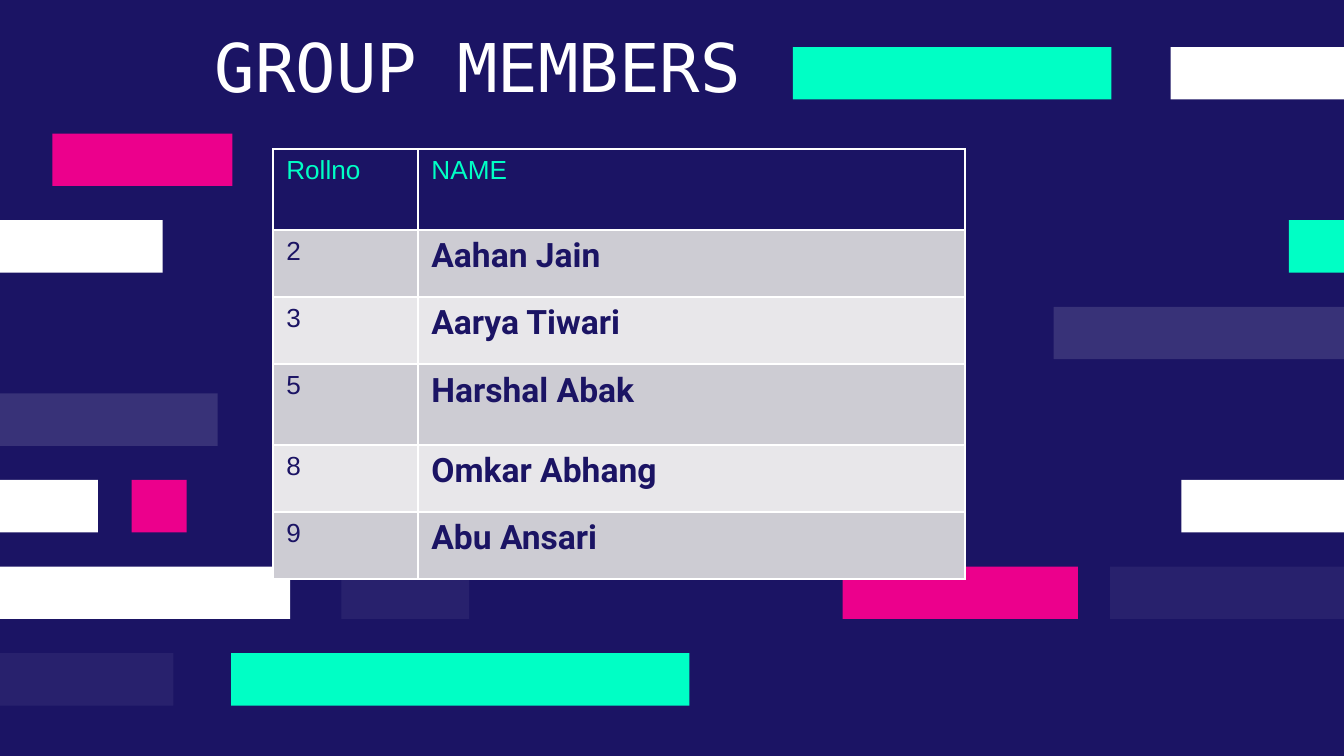
from lxml import etree
from pptx import Presentation
from pptx.dml.color import RGBColor
from pptx.enum.shapes import MSO_SHAPE
from pptx.oxml.ns import qn
from pptx.util import Inches, Pt

RECTANGLE = MSO_SHAPE.RECTANGLE

NAVY = RGBColor(0x1B, 0x14, 0x64)
WHITE = RGBColor(0xFF, 0xFF, 0xFF)
MINT = RGBColor(0x00, 0xFF, 0xC5)
PINK = RGBColor(0xEC, 0x00, 0x8C)
DARK_BAND = RGBColor(0xCD, 0xCC, 0xD3)
LIGHT_BAND = RGBColor(0xE8, 0xE7, 0xEA)

TITLE = "GROUP MEMBERS"
HEADER = ("Rollno", "NAME")
MEMBERS = [
    ("2", "Aahan Jain"),
    ("3", "Aarya Tiwari"),
    ("5", "Harshal Abak"),
    ("8", "Omkar Abhang"),
    ("9", "Abu Ansari"),
]
COLUMN_WIDTHS = (1.08, 4.07)
ROW_HEIGHTS = (0.6, 0.5, 0.5, 0.6, 0.5, 0.5)

# One list per band, top to bottom: (left, right, colour, opacity in percent)
BANDS = [
    [(5.9, 8.27, MINT, 100), (8.71, 10, WHITE, 100)],
    [(0.39, 1.73, PINK, 100)],
    [(0, 1.21, WHITE, 100), (9.59, 10, MINT, 100)],
    [(7.84, 10, WHITE, 13)],
    [(0, 1.62, WHITE, 13)],
    [(0, 0.73, WHITE, 100), (0.98, 1.39, PINK, 100), (8.79, 10, WHITE, 100)],
    [(0, 2.16, WHITE, 100), (2.54, 3.49, WHITE, 6),
     (6.27, 8.02, PINK, 100), (8.26, 10, WHITE, 6)],
    [(0, 1.29, WHITE, 6), (1.72, 5.13, MINT, 100)],
]
FIRST_TOP, LAST_TOP, BAR_HEIGHT = 0.35, 4.86, 0.39
BAND_STEP = (LAST_TOP - FIRST_TOP) / (len(BANDS) - 1)


def add_bar(slide, left, top, right, colour, opacity):
    bar = slide.shapes.add_shape(RECTANGLE, Inches(left), Inches(top),
                                 Inches(right - left), Inches(BAR_HEIGHT))
    bar.shadow.inherit = False
    bar.line.fill.background()
    bar.fill.solid()
    bar.fill.fore_color.rgb = colour
    if opacity < 100:
        tone = bar._element.spPr.find(".//" + qn("a:srgbClr"))
        etree.SubElement(tone, qn("a:alpha")).set("val", str(opacity * 1000))


def style_span(span, font, size, colour, bold=False):
    span.font.name = font
    span.font.size = Pt(size)
    span.font.color.rgb = colour
    span.font.bold = bold


def add_borders(cell):
    properties = cell._tc.get_or_add_tcPr()
    for side in ("lnL", "lnR", "lnT", "lnB"):
        line = etree.SubElement(properties, qn("a:" + side), w=str(Pt(1)))
        fill = etree.SubElement(line, qn("a:solidFill"))
        etree.SubElement(fill, qn("a:srgbClr"), val=str(WHITE))


def add_member_table(slide):
    rows = [HEADER] + MEMBERS
    table = slide.shapes.add_table(
        len(rows), len(HEADER), Inches(2.03), Inches(1.11),
        Inches(sum(COLUMN_WIDTHS)), Inches(sum(ROW_HEIGHTS))).table
    for column, width in zip(table.columns, COLUMN_WIDTHS):
        column.width = Inches(width)
    for row, height in zip(table.rows, ROW_HEIGHTS):
        row.height = Inches(height)
    for r, texts in enumerate(rows):
        for c, text in enumerate(texts):
            cell = table.cell(r, c)
            cell.text_frame.text = text
            span = cell.text_frame.paragraphs[0].runs[0]
            if r and c:
                style_span(span, "Roboto", 18, NAVY, bold=True)
            else:
                style_span(span, "Arial", 14, NAVY if r else MINT)
            add_borders(cell)
            cell.fill.solid()
            band = DARK_BAND if r % 2 else LIGHT_BAND
            cell.fill.fore_color.rgb = band if r else NAVY


def main():
    deck = Presentation()
    deck.slide_width = Inches(10)
    deck.slide_height = deck.slide_width * 9 // 16
    slide = deck.slides.add_slide(deck.slide_layouts[6])
    slide.background.fill.solid()
    slide.background.fill.fore_color.rgb = NAVY

    for band, bars in enumerate(BANDS):
        for left, right, colour, opacity in bars:
            add_bar(slide, left, FIRST_TOP + band * BAND_STEP, right, colour, opacity)

    add_member_table(slide)

    title = slide.shapes.add_textbox(Inches(1.5), Inches(0.14), Inches(6.64), Inches(0.71))
    title.text_frame.word_wrap = True
    title.text_frame.text = TITLE
    style_span(title.text_frame.paragraphs[0].runs[0], "DejaVu Sans Mono", 36, WHITE)

    deck.save("out.pptx")


if __name__ == "__main__":
    main()
